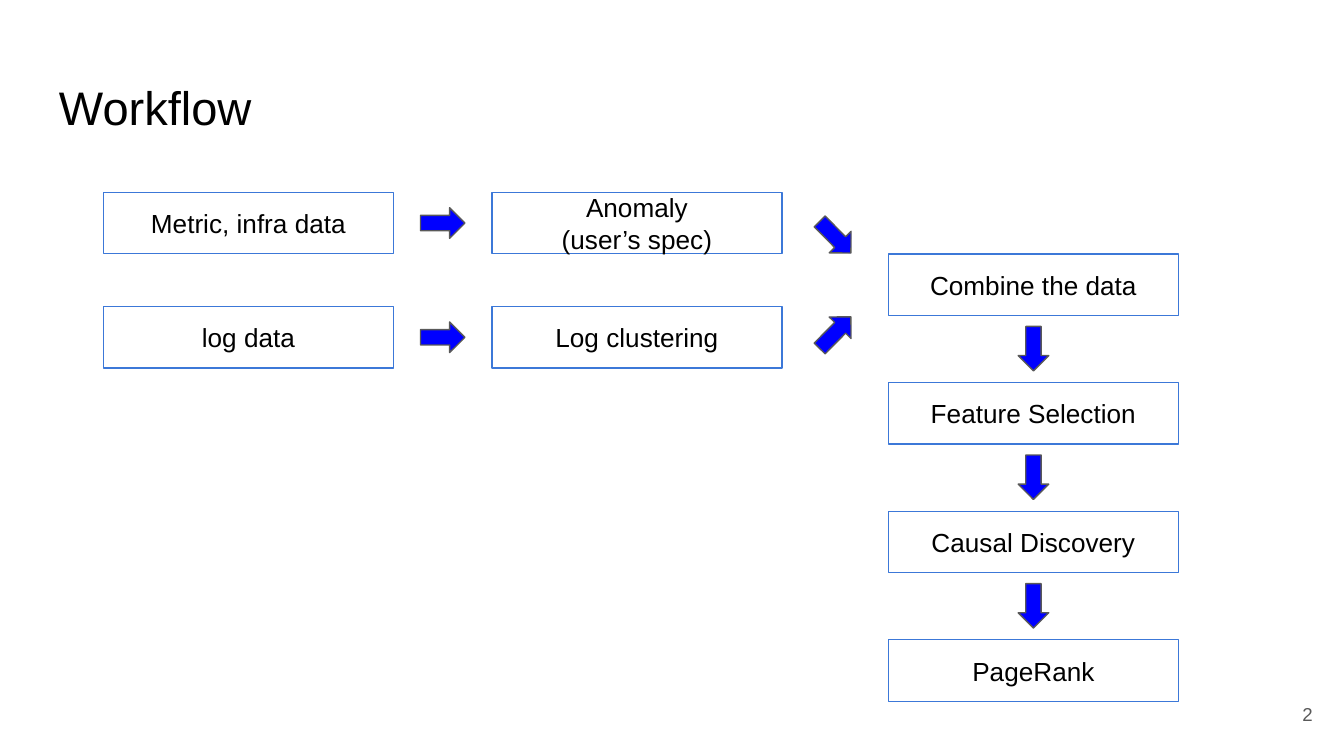
"""Build a workflow slide of labelled boxes joined by block arrows."""
from pptx import Presentation
from pptx.dml.color import RGBColor
from pptx.enum.shapes import MSO_SHAPE as Shape
from pptx.enum.text import MSO_ANCHOR as Anchor, PP_ALIGN as Align
from pptx.util import Pt

COLORS = {"text": "000000", "number": "595959", "border": "3C78D8",
          "arrow": "0000FF", "arrow_line": "595959"}
BOX_WIDTH, BOX_HEIGHT = 155.5, 33
ARROW_WIDTH, ARROW_LENGTH = 16.4, 23.8
COLUMNS = (55.4, 263.5, 475.9)
INPUT_ROWS = (
    (103, "Metric, infra data", "Anomaly\n(user’s spec)"),
    (164.2, "log data", "Log clustering"),
)
STEPS = ("Combine the data", "Feature Selection", "Causal Discovery", "PageRank")
STEPS_TOP, STEP_PITCH, STEP_ARROW_OFFSET = 136.1, 68.9, 50.7
MERGE_ARROWS = ((127.1, 315.4), (178.2, 224.6))


def color(name):
    return RGBColor.from_string(COLORS[name])


def write_text(shape, text, size=14, ink="text", align=Align.CENTER, anchor=Anchor.MIDDLE):
    frame = shape.text_frame
    frame.word_wrap = True
    frame.vertical_anchor = anchor
    frame.margin_left = frame.margin_right = Pt(7.2)
    frame.margin_top = frame.margin_bottom = Pt(7.2)
    for index, line in enumerate(text.split("\n")):
        para = frame.add_paragraph() if index else frame.paragraphs[0]
        para.alignment = align
        span = para.add_run()
        span.text = line
        span.font.name = "Arial"
        span.font.size = Pt(size)
        span.font.color.rgb = color(ink)


def add_label(page, text, left, top, width, height, **text_format):
    box = page.shapes.add_textbox(Pt(left), Pt(top), Pt(width), Pt(height))
    write_text(box, text, **text_format)


def add_outlined(page, kind, left, top, width, height, line):
    shape = page.shapes.add_shape(kind, Pt(left), Pt(top), Pt(width), Pt(height))
    shape.shadow.inherit = False
    shape.line.color.rgb = color(line)
    shape.line.width = Pt(0.75)
    return shape


def add_box(page, text, left, top):
    box = add_outlined(page, Shape.RECTANGLE, left, top, BOX_WIDTH, BOX_HEIGHT, "border")
    box.fill.background()
    write_text(box, text)


def add_arrow(page, center_x, center_y, rotation=0):
    arrow = add_outlined(page, Shape.DOWN_ARROW, center_x - ARROW_WIDTH / 2,
                         center_y - ARROW_LENGTH / 2, ARROW_WIDTH, ARROW_LENGTH, "arrow_line")
    arrow.fill.solid()
    arrow.fill.fore_color.rgb = color("arrow")
    arrow.rotation = rotation


def add_inputs(page):
    arrow_x = (COLUMNS[0] + BOX_WIDTH + COLUMNS[1]) / 2
    for top, source, result in INPUT_ROWS:
        add_box(page, source, COLUMNS[0], top)
        add_arrow(page, arrow_x, top + BOX_HEIGHT / 2, 270)
        add_box(page, result, COLUMNS[1], top)
    for center_y, rotation in MERGE_ARROWS:
        add_arrow(page, 447.5, center_y, rotation)


def add_steps(page):
    for index, step in enumerate(STEPS):
        top = STEPS_TOP + index * STEP_PITCH
        add_box(page, step, COLUMNS[2], top)
        if index < len(STEPS) - 1:
            add_arrow(page, COLUMNS[2] + BOX_WIDTH / 2, top + STEP_ARROW_OFFSET)


def main():
    deck = Presentation()
    deck.slide_width, deck.slide_height = Pt(720), Pt(405)
    page = deck.slides.add_slide(deck.slide_layouts[6])
    add_label(page, "Workflow", 24.5, 35, 671, 45.1,
              size=25.2, align=Align.LEFT, anchor=Anchor.TOP)
    add_label(page, "2", 667.1, 367.2, 43.2, 31, size=10, ink="number", align=Align.RIGHT)
    add_inputs(page)
    add_steps(page)
    deck.save("out.pptx")


main()
